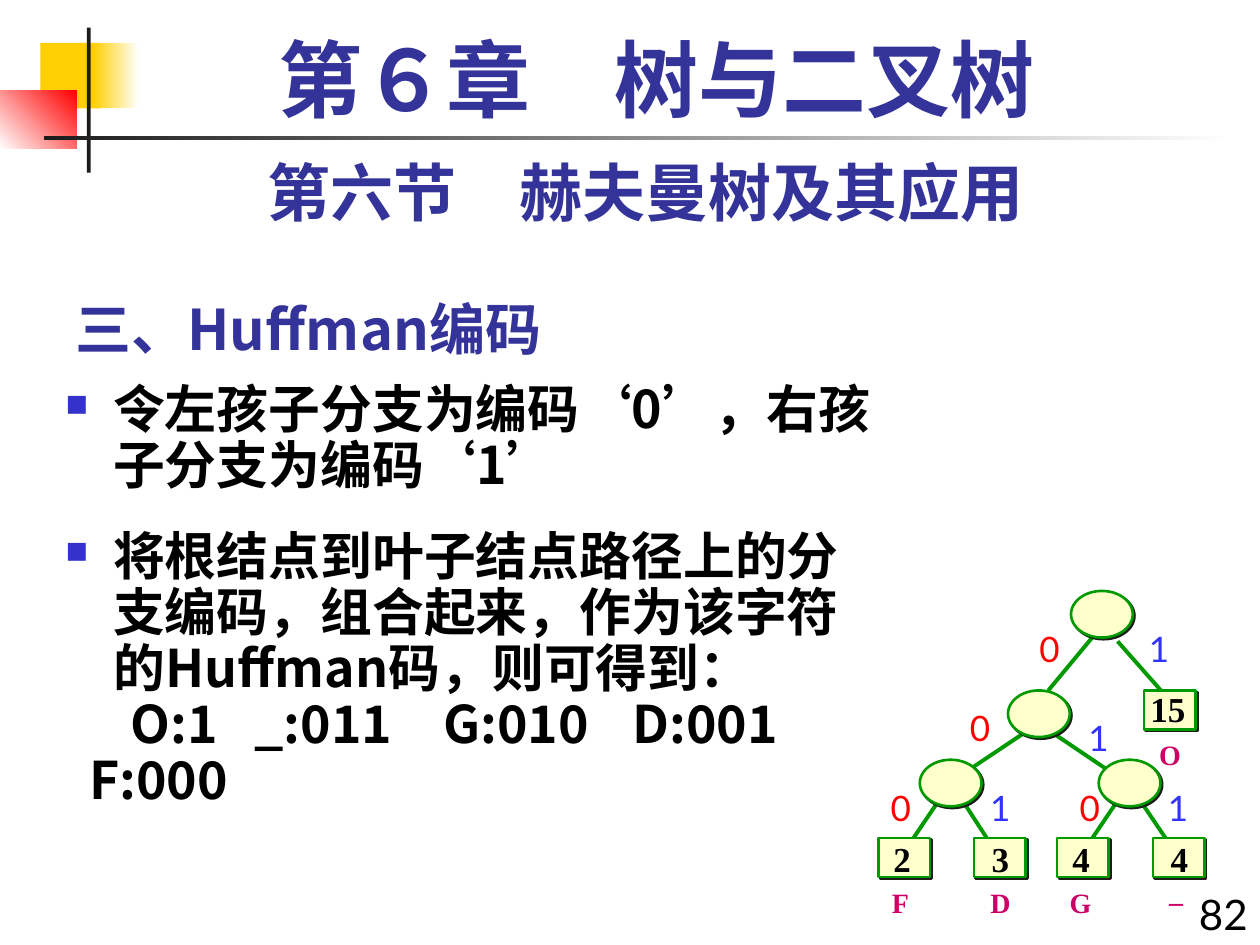
"""Build the Huffman coding slide with its code tree."""
from dataclasses import dataclass
from typing import Any, NamedTuple, Optional

from lxml.etree import SubElement
from pptx import Presentation
from pptx.dml.color import RGBColor as RGB
from pptx.enum.lang import MSO_LANGUAGE_ID as Lang
from pptx.enum.shapes import MSO_CONNECTOR as Conn, MSO_SHAPE as Shape
from pptx.enum.text import MSO_ANCHOR as Anchor, MSO_AUTO_SIZE as Auto, PP_ALIGN as Align
from pptx.oxml.ns import qn
from pptx.util import Inches, Pt


@dataclass(frozen=True)
class Theme:
    cjk: str = "Noto Sans CJK SC"
    serif: str = "Times New Roman"
    sans: str = "Lato"
    ink: str = "000000"
    heading: str = "333399"
    bullet: str = "3333CC"
    dark: str = "1C1C1C"
    white: str = "FFFFFF"
    yellow: str = "FFCF01"
    red: str = "FF0000"
    blue: str = "3333FF"
    green: str = "009900"
    cream: str = "FFFFCC"
    symbol: str = "CC0066"
    chapter_pt: float = 48
    section_pt: float = 36
    title_pt: float = 32
    body_pt: float = 29.6
    number_pt: float = 24
    tree_pt: float = 20
    symbol_pt: float = 16


T = Theme()


class Style(NamedTuple):
    size: float
    font: str
    color: str
    bold: bool = False


class Box(NamedTuple):
    left: float
    top: float
    width: float
    height: float


class Block(NamedTuple):
    box: Box
    color: str
    end: Optional[str] = None
    angle: float = 0


class Branch(NamedTuple):
    start: tuple[float, float]
    end: tuple[float, float]
    bit: str
    bit_at: tuple[float, float]


class Leaf(NamedTuple):
    left: float
    top: float
    weight: str
    weight_box: Box
    symbol: str
    symbol_box: Box


class Para(NamedTuple):
    runs: list[tuple[str, str]]
    fmt: dict[str, Any]
    margin: float = 0
    indent: float = 0
    bullet: bool = False
    tabs: tuple[float, ...] = ()


BLOCKS = [
    Block(Box(0.32, 0.34, 0.48, 0.52), T.yellow),
    Block(Box(0.74, 0.34, 0.36, 0.52), T.yellow, T.white),
    Block(Box(0, 0.72, 0.61, 0.46), T.white, T.red, 45),
    Block(Box(0.69, 0.22, 0.03, 1.15), T.dark),
    Block(Box(0.35, 1.08, 9.45, 0.03), T.dark, T.white),
]
TIGHT = {"line_spacing": 0.9}
ITEM = {"margin": 0.38, "indent": -0.38, "bullet": True}
BODY = [
    Para([("令左孩子分支为编码", T.cjk), ("‘", T.serif), ("0", T.cjk), ("’", T.serif),
          ("，右孩子分支为编码", T.cjk), ("‘", T.serif), ("1", T.cjk), ("’", T.serif)],
         TIGHT, **ITEM),
    Para([("将根结点到叶子结点路径上的分支编码，组合起来，作为该字符的Huffman码，则可得到：", T.cjk)],
         {**TIGHT, "space_before": Pt(20)}, **ITEM),
    Para([("O:1\t_:011\tG:010\tD:001", T.cjk)], TIGHT, indent=0.52, tabs=(1.41, 2.67, 4.02)),
    Para([("F:000", T.cjk)], TIGHT, indent=0.19),
]
NODES = [(8.5, 4.69), (8, 5.48), (7.3, 6.03), (8.72, 6.03)]
BRANCHES = [
    Branch((8.71, 5.01), (8.32, 5.48), "0", (8.15, 4.93)),
    Branch((8.87, 5.09), (9.32, 5.6), "1", (9.02, 4.93)),
    Branch((8.17, 5.79), (7.69, 6.11), "0", (7.6, 5.56)),
    Branch((8.33, 5.8), (8.79, 6.11), "1", (8.54, 5.64)),
    Branch((7.46, 6.34), (7.21, 6.71), "0", (6.97, 6.19)),
    Branch((7.63, 6.34), (7.87, 6.71), "1", (7.76, 6.19)),
    Branch((8.88, 6.34), (8.63, 6.71), "0", (8.47, 6.19)),
    Branch((9.04, 6.34), (9.29, 6.71), "1", (9.17, 6.19)),
]
LEAVES = [
    Leaf(9.08, 5.48, "15", Box(9.03, 5.4, 0.48, 0.44), "O", Box(9.1, 5.8, 0.37, 0.37)),
    Leaf(6.97, 6.65, "2", Box(6.99, 6.59, 0.34, 0.44), "F", Box(6.98, 6.98, 0.33, 0.37)),
    Leaf(7.73, 6.65, "3", Box(7.77, 6.59, 0.34, 0.44), "D", Box(7.76, 6.98, 0.36, 0.37)),
    Leaf(8.39, 6.65, "4", Box(8.41, 6.59, 0.34, 0.44), "G", Box(8.39, 6.98, 0.37, 0.37)),
    Leaf(9.15, 6.65, "4", Box(9.19, 6.59, 0.34, 0.44), "_", Box(9.18, 6.89, 0.31, 0.37)),
]


def apply(obj: Any, fmt: dict[str, Any]) -> None:
    for name, value in fmt.items():
        setattr(obj, name, value)


def place(box: Box) -> list[int]:
    return [Inches(v) for v in box]


def add_run(p: Any, text: str, style: Style) -> None:
    r = p.add_run()
    r.text = text
    apply(r.font, {"size": Pt(style.size), "name": style.font, "bold": style.bold,
                   "language_id": Lang.SIMPLIFIED_CHINESE})
    r.font.color.rgb = RGB.from_string(style.color)
    SubElement(r.font._element, qn("a:ea"), typeface=T.cjk)


def add_text(shapes: Any, box: Box, text: str, style: Style, align: Any = Align.LEFT,
             anchor: Any = Anchor.TOP, wrap: bool = True, grow: bool = True) -> None:
    tf = shapes.add_textbox(*place(box)).text_frame
    apply(tf, {"word_wrap": wrap, "vertical_anchor": anchor,
               "auto_size": Auto.SHAPE_TO_FIT_TEXT if grow else Auto.NONE})
    p = tf.paragraphs[0]
    p.alignment = align
    add_run(p, text, style)


def add_block(shapes: Any, block: Block) -> None:
    sp = shapes.add_shape(Shape.RECTANGLE, *place(block.box))
    sp.shadow.inherit = False
    sp.line.fill.background()
    if block.end is None:
        sp.fill.solid()
        sp.fill.fore_color.rgb = RGB.from_string(block.color)
        return
    sp.fill.gradient()
    sp.fill.gradient_angle = block.angle
    for stop, color in zip(sp.fill.gradient_stops, (block.color, block.end)):
        stop.color.rgb = RGB.from_string(color)


def add_body(shapes: Any, box: Box, paras: list[Para]) -> None:
    tf = shapes.add_textbox(*place(box)).text_frame
    apply(tf, {"word_wrap": True, "auto_size": Auto.NONE})
    for i, para in enumerate(paras):
        p = tf.add_paragraph() if i else tf.paragraphs[0]
        apply(p, para.fmt)
        ppr = p._p.get_or_add_pPr()
        ppr.set("marL", str(Inches(para.margin)))
        ppr.set("indent", str(Inches(para.indent)))
        if para.bullet:
            SubElement(SubElement(ppr, qn("a:buClr")), qn("a:srgbClr"), val=T.bullet)
            SubElement(ppr, qn("a:buSzPct"), val="60000")
            SubElement(ppr, qn("a:buChar"), char="■")
        if para.tabs:
            tabs = SubElement(ppr, qn("a:tabLst"))
            for pos in para.tabs:
                SubElement(tabs, qn("a:tab"), pos=str(Inches(pos)), algn="l")
        for text, font in para.runs:
            add_run(p, text, Style(T.body_pt, font, T.ink, True))


def add_branch(shapes: Any, branch: Branch) -> None:
    ends = [Inches(v) for v in (*branch.start, *branch.end)]
    c = shapes.add_connector(Conn.STRAIGHT, *ends)
    c.line.color.rgb = RGB.from_string(T.green)
    c.line.width = Pt(2.25)
    SubElement(c._element.spPr, qn("a:effectLst"))


def add_node(shapes: Any, kind: Any, box: Box) -> None:
    sp = shapes.add_shape(kind, *place(box))
    sp.fill.solid()
    sp.fill.fore_color.rgb = RGB.from_string(T.cream)
    sp.line.color.rgb = RGB.from_string(T.green)
    sp.line.width = Pt(1.5)
    effects = SubElement(sp._element.spPr, qn("a:effectLst"))
    shadow = SubElement(effects, qn("a:outerShdw"), dist=str(Pt(1.4)), dir="2700000",
                        algn="ctr", rotWithShape="0")
    SubElement(shadow, qn("a:srgbClr"), val=T.dark)


def add_tree(shapes: Any) -> None:
    for branch in BRANCHES:
        add_branch(shapes, branch)
    for left, top in NODES:
        add_node(shapes, Shape.OVAL, Box(left, top, 0.49, 0.37))
    weight = Style(T.tree_pt, T.serif, T.ink, True)
    symbol = Style(T.symbol_pt, T.serif, T.symbol, True)
    for leaf in LEAVES:
        add_node(shapes, Shape.RECTANGLE, Box(leaf.left, leaf.top, 0.41, 0.31))
        for text, box, style in ((leaf.weight, leaf.weight_box, weight),
                                 (leaf.symbol, leaf.symbol_box, symbol)):
            add_text(shapes, box, text, style, Align.CENTER, Anchor.MIDDLE, wrap=False)
    for branch in BRANCHES:
        color = T.red if branch.bit == "0" else T.blue
        add_text(shapes, Box(*branch.bit_at, 0.47, 0.44), branch.bit,
                 Style(T.tree_pt, T.sans, color))


def main() -> None:
    prs = Presentation()
    apply(prs, {"slide_width": Inches(10), "slide_height": Inches(7.5)})
    shapes = prs.slides.add_slide(prs.slide_layouts[6]).shapes
    for block in BLOCKS:
        add_block(shapes, block)
    add_text(shapes, Box(0.5, 2.17, 6.25, 0.75), "三、Huffman编码",
             Style(T.title_pt, T.cjk, T.heading, True), anchor=Anchor.BOTTOM, grow=False)
    add_text(shapes, Box(9.33, 7, 0.67, 0.59), "82",
             Style(T.number_pt, T.sans, T.ink), Align.RIGHT)
    add_text(shapes, Box(0.5, 1.17, 9.25, 0.7), "第六节\u3000赫夫曼树及其应用".replace("\u3000", "　"),
             Style(T.section_pt, T.sans, T.heading, True), Align.CENTER)
    add_body(shapes, Box(0.42, 3, 6.71, 4.5), BODY)
    add_text(shapes, Box(0.67, 0.17, 9.08, 0.83), "第６章　树与二叉树",
             Style(T.chapter_pt, T.serif, T.heading, True), Align.CENTER, grow=False)
    add_tree(shapes.add_group_shape().shapes)
    prs.save("out.pptx")


if __name__ == "__main__":
    main()
